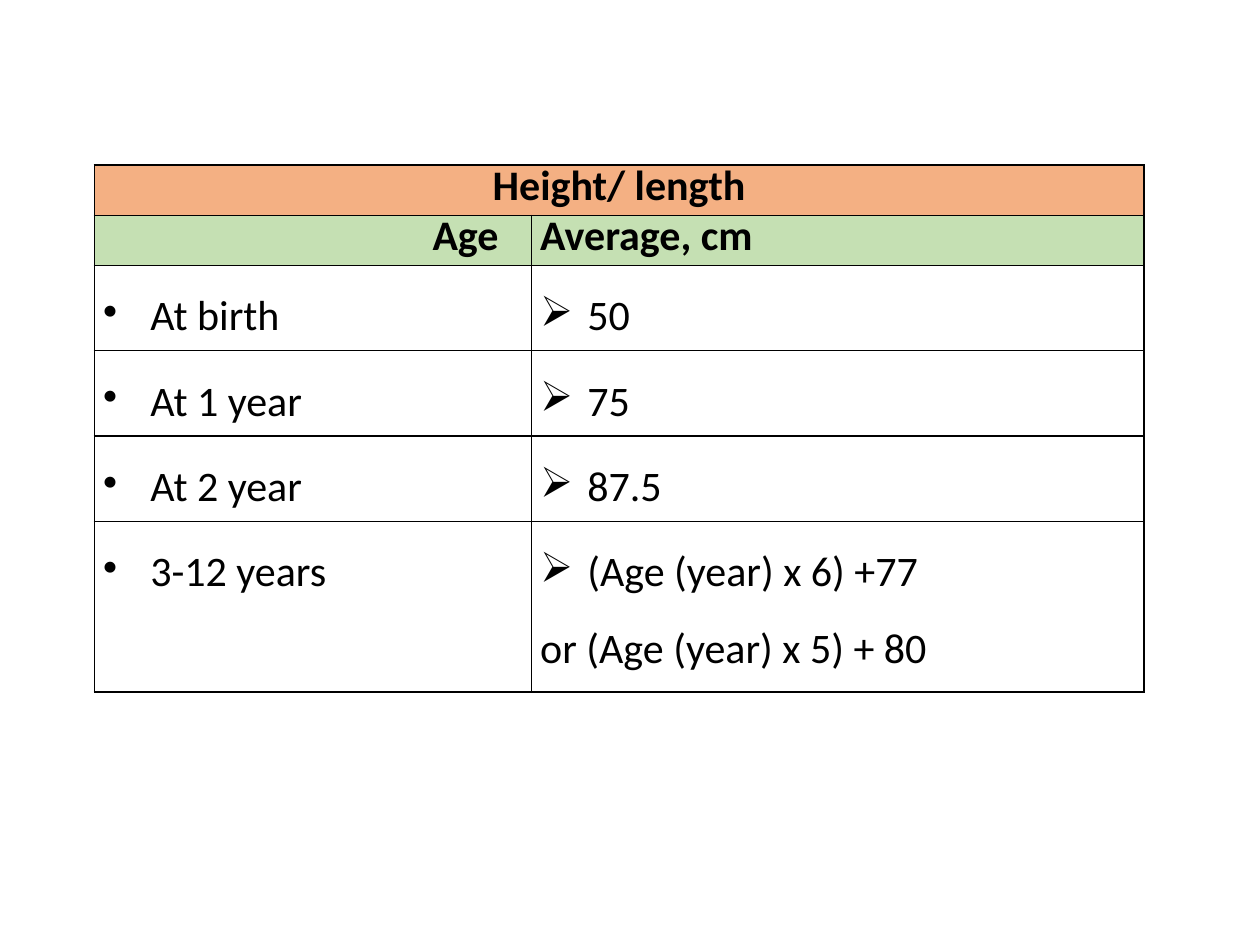
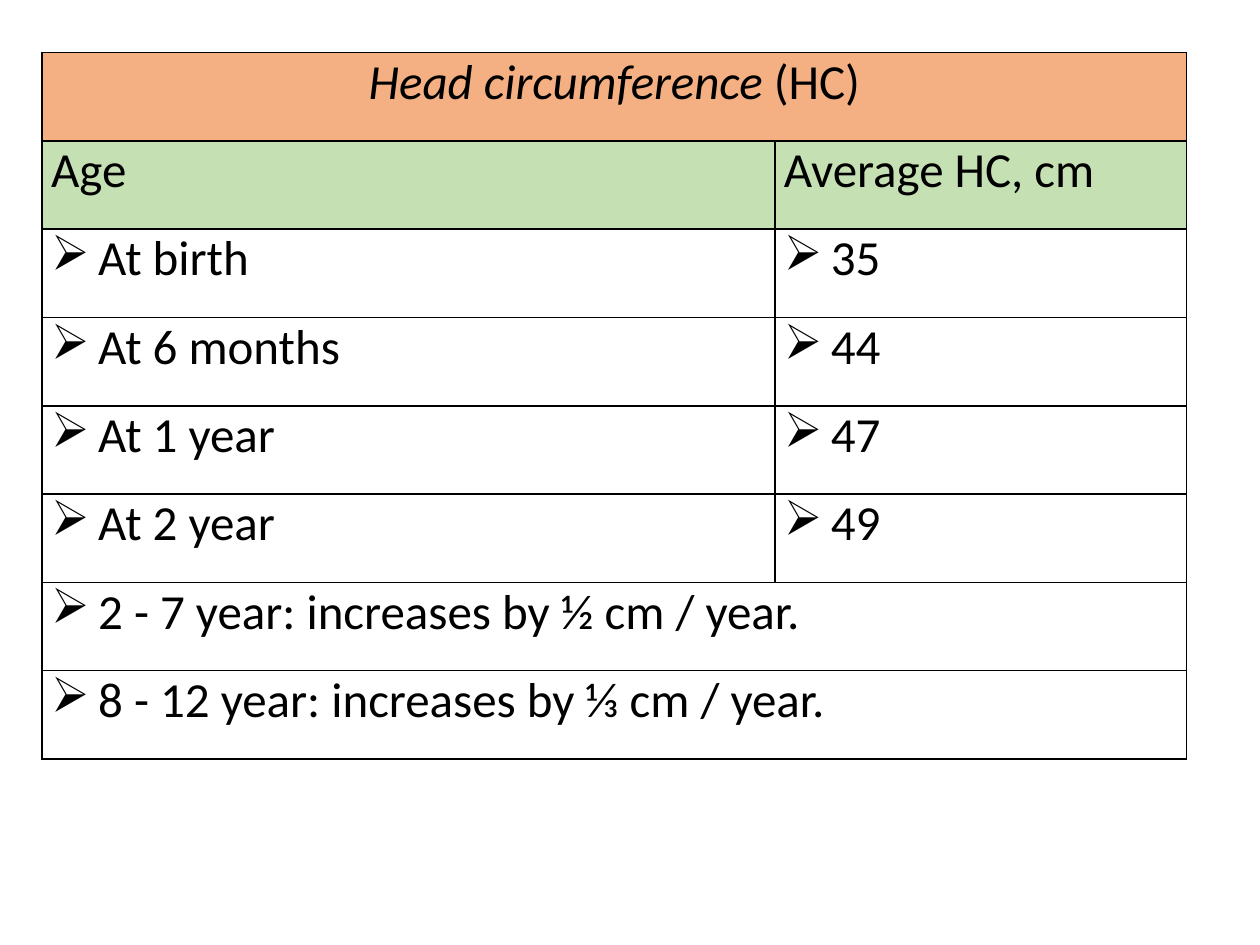
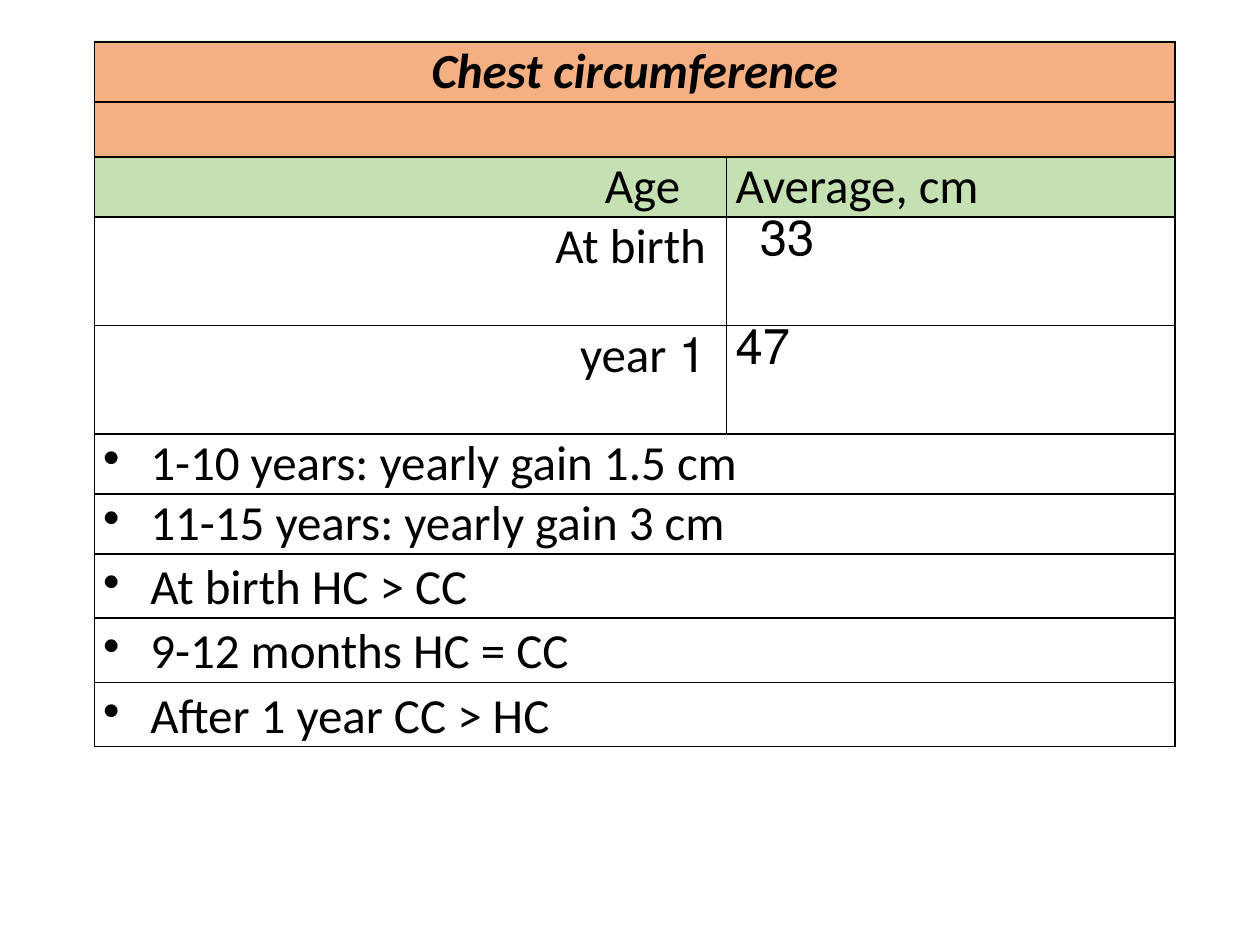
from dataclasses import dataclass, field

from lxml import etree
from pptx import Presentation
from pptx import util as u
from pptx.dml.color import RGBColor
from pptx.enum import text
from pptx.oxml import ns


@dataclass(frozen=True)
class Theme:
    font: str = "Calibri"
    ink: str = "000000"
    title_fill: str = "F4B083"
    header_fill: str = "C5E0B3"
    small: int = 24
    large: int = 28
    border: float = 1
    inset: float = 0.18
    indent: float = 0.95


@dataclass
class Line:
    """One paragraph: its runs are (wording, style letters) pairs."""
    runs: list
    bullet: str = ""
    align: str = "l"
    spacing: float = 1.0
    rtl: bool = False


@dataclass
class Cell:
    lines: list = field(default_factory=list)
    fill: str = ""
    left: float = Theme.inset
    right: float = Theme.inset


ALIGNMENTS = {
    "l": text.PP_ALIGN.LEFT,
    "c": text.PP_ALIGN.CENTER,
    "r": text.PP_ALIGN.RIGHT,
    "j": text.PP_ALIGN.JUSTIFY,
}
DOT, ARROW = "•", "➢"
THEME = Theme()


# Short builders for the recurring kinds of cell
def plain(wording, style="", left=THEME.inset, right=THEME.inset, fill="", **options):
    return Cell([Line([(wording, style)], **options)], fill, left, right)


def title(*runs, spacing=1.0):
    return Cell([Line(list(runs), align="c", spacing=spacing)], THEME.title_fill)


def header(wording, style="", **options):
    return plain(wording, style, fill=THEME.header_fill, **options)


def item(wording, bullet, **options):
    return plain(wording, bullet=bullet, **options)


class Deck:
    def __init__(self, theme):
        self.theme = theme
        self.presentation = Presentation()
        self.presentation.slide_width = u.Cm(25.4)
        self.presentation.slide_height = u.Cm(19.05)
        self.slide = None

    def new_slide(self):
        self.slide = self.presentation.slides.add_slide(self.presentation.slide_layouts[6])

    def table(self, left, top, widths, heights, rows, size):
        """Draw a table; a row holding a single cell spans all columns."""
        shape = self.slide.shapes.add_table(
            len(rows), len(widths), u.Cm(left), u.Cm(top),
            u.Cm(sum(widths)), u.Cm(sum(heights)))
        table = shape.table
        table.first_row = table.horz_banding = False
        for column, width in zip(table.columns, widths):
            column.width = u.Cm(width)
        for index, (row, height) in enumerate(zip(rows, heights)):
            table.rows[index].height = u.Cm(height)
            for position in range(len(widths)):
                content = row[min(position, len(row) - 1)]
                self.frame(table.cell(index, position), content.fill)
            if len(row) == 1:
                table.cell(index, 0).merge(table.cell(index, len(widths) - 1))
            for position, content in enumerate(row):
                self.fill_text(table.cell(index, position), content, size)

    def frame(self, cell, fill):
        """Set the borders and the fill of a cell."""
        properties = cell._tc.get_or_add_tcPr()
        for side in "LRTB":
            line = etree.SubElement(properties, ns.qn(f"a:ln{side}"),
                                    w=str(u.Pt(self.theme.border)))
            solid = etree.SubElement(line, ns.qn("a:solidFill"))
            etree.SubElement(solid, ns.qn("a:srgbClr"), val=self.theme.ink)
        if fill:
            cell.fill.solid()
            cell.fill.fore_color.rgb = RGBColor.from_string(fill)
        else:
            cell.fill.background()

    def fill_text(self, cell, content, size):
        cell.margin_left, cell.margin_right = u.Cm(content.left), u.Cm(content.right)
        cell.margin_top = cell.margin_bottom = 0
        frame = cell.text_frame
        for index, line in enumerate(content.lines):
            paragraph = frame.add_paragraph() if index else frame.paragraphs[0]
            self.paragraph(paragraph, line, size)

    def paragraph(self, paragraph, line, size):
        properties = paragraph._p.get_or_add_pPr()
        if line.bullet:
            indent = u.Cm(self.theme.indent)
            properties.set("marL", str(indent))
            properties.set("indent", str(-indent))
            etree.SubElement(properties, ns.qn("a:buChar"), char=line.bullet)
        if line.rtl:
            properties.set("rtl", "1")
        paragraph.alignment = ALIGNMENTS[line.align]
        paragraph.line_spacing = line.spacing
        for wording, style in line.runs:
            run = paragraph.add_run()
            run.text = wording
            run.font.name = self.theme.font
            run.font.size = u.Pt(size)
            run.font.bold = "b" in style
            run.font.italic = "i" in style
            run.font.color.rgb = RGBColor.from_string(self.theme.ink)


def height_slide(deck):
    averages = [("At birth", "50"), ("At 1 year", "75"), ("At 2 year", "87.5")]
    formulas = Cell([
        Line([("(Age (year) x 6) +77", "")], ARROW, spacing=1.5),
        Line([("or (Age (year) x 5) + 80", "")], spacing=1.5),
    ])
    rows = [
        [title(("Height/ length", "b"), spacing=0.85)],
        [header("Age", "b", align="r", right=0.66, spacing=0.85),
         header("Average, cm", "b", spacing=0.85)],
        *[[item(age, DOT, spacing=1.5), item(average, ARROW, spacing=1.5)]
          for age, average in averages],
        [item("3-12 years", DOT, spacing=1.5), formulas],
    ]
    deck.new_slide()
    deck.table(1.9, 3.33, [8.81, 12.35], [1.01] * 2 + [1.72] * 3 + [3.44],
               rows, deck.theme.small)


def head_slide(deck):
    averages = [("At birth", "35"), ("At 6 months", "44"),
                ("At 1 year", "47"), ("At 2 year", "49")]
    increases = ["2 - 7 year: increases by ½ cm / year.",
                 "8 - 12 year: increases by ⅓ cm / year."]
    rows = [
        [title(("Head circumference", "i"), (" (HC)", ""))],
        [header("Age"), header("Average HC, cm")],
        *[[item(wording, ARROW) for wording in pair] for pair in averages],
        *[[item(increase, ARROW)] for increase in increases],
    ]
    deck.new_slide()
    deck.table(0.85, 1.06, [14.77, 8.3], [1.78] * len(rows), rows, deck.theme.large)


def chest_slide(deck):
    comparisons = ["At birth HC > CC", "9-12 months HC = CC", "After 1 year CC > HC"]
    rows = [
        [title(("Chest circumference", "bi"))],
        [Cell(fill=deck.theme.title_fill)],
        [header("Age", align="r", right=0.94), header("Average, cm")],
        [plain("At birth", align="r", right=0.42), plain("33", left=0.67, rtl=True)],
        [plain("1 year", align="r", right=0.42, rtl=True), plain("47", rtl=True)],
        [item("1-10 years: yearly gain 1.5 cm", DOT, align="j")],
        [item("11-15 years: yearly gain 3 cm", DOT)],
        *[[item(comparison, DOT, spacing=1.07)] for comparison in comparisons],
    ]
    heights = [1.21, 1.1, 1.21] + [2.19] * 2 + [1.21] * 2 + [1.29] * 3
    deck.new_slide()
    deck.table(1.9, 0.85, [12.75, 9.04], heights, rows, deck.theme.large)


def main():
    deck = Deck(THEME)
    height_slide(deck)
    head_slide(deck)
    chest_slide(deck)
    deck.presentation.save("out.pptx")


if __name__ == "__main__":
    main()
